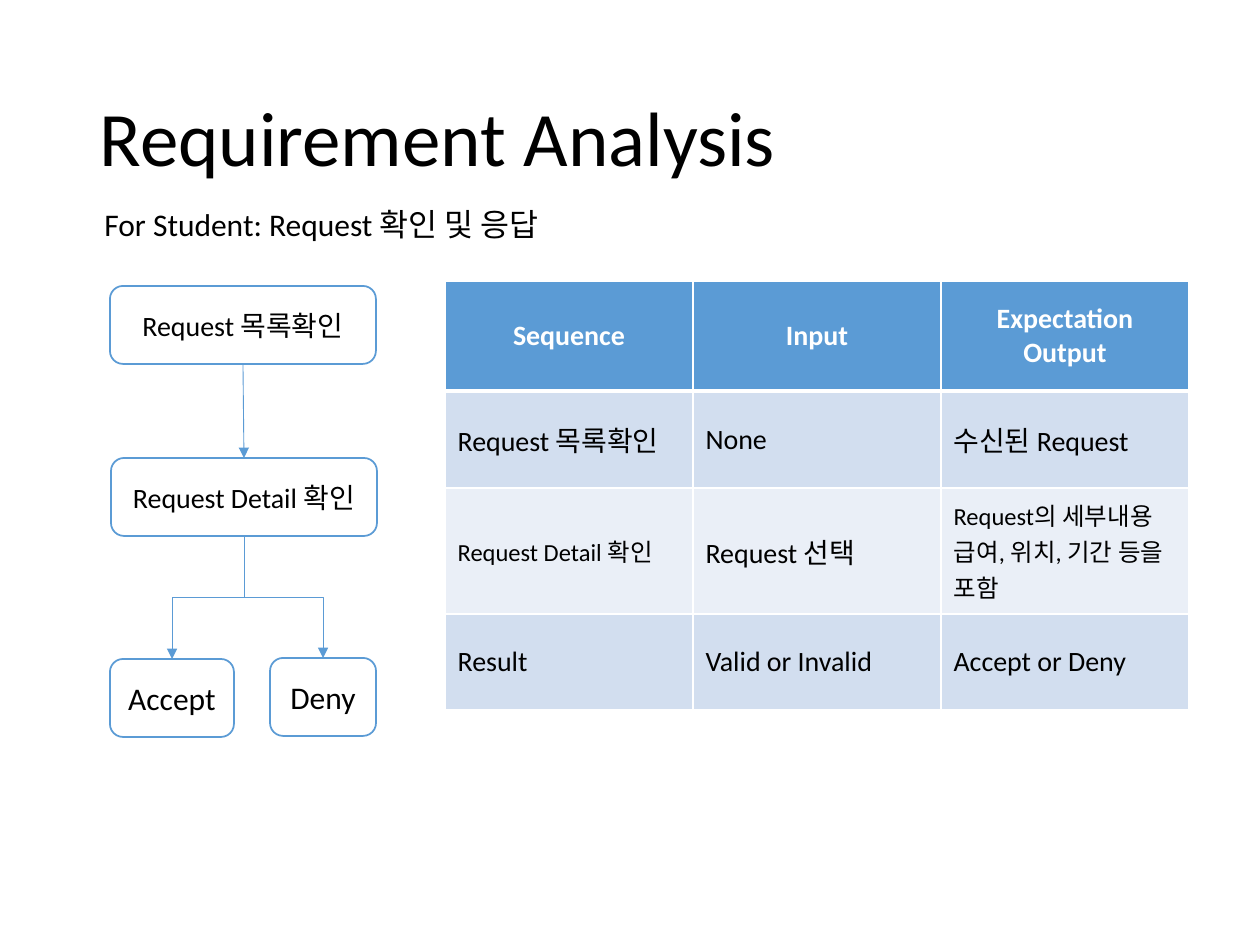
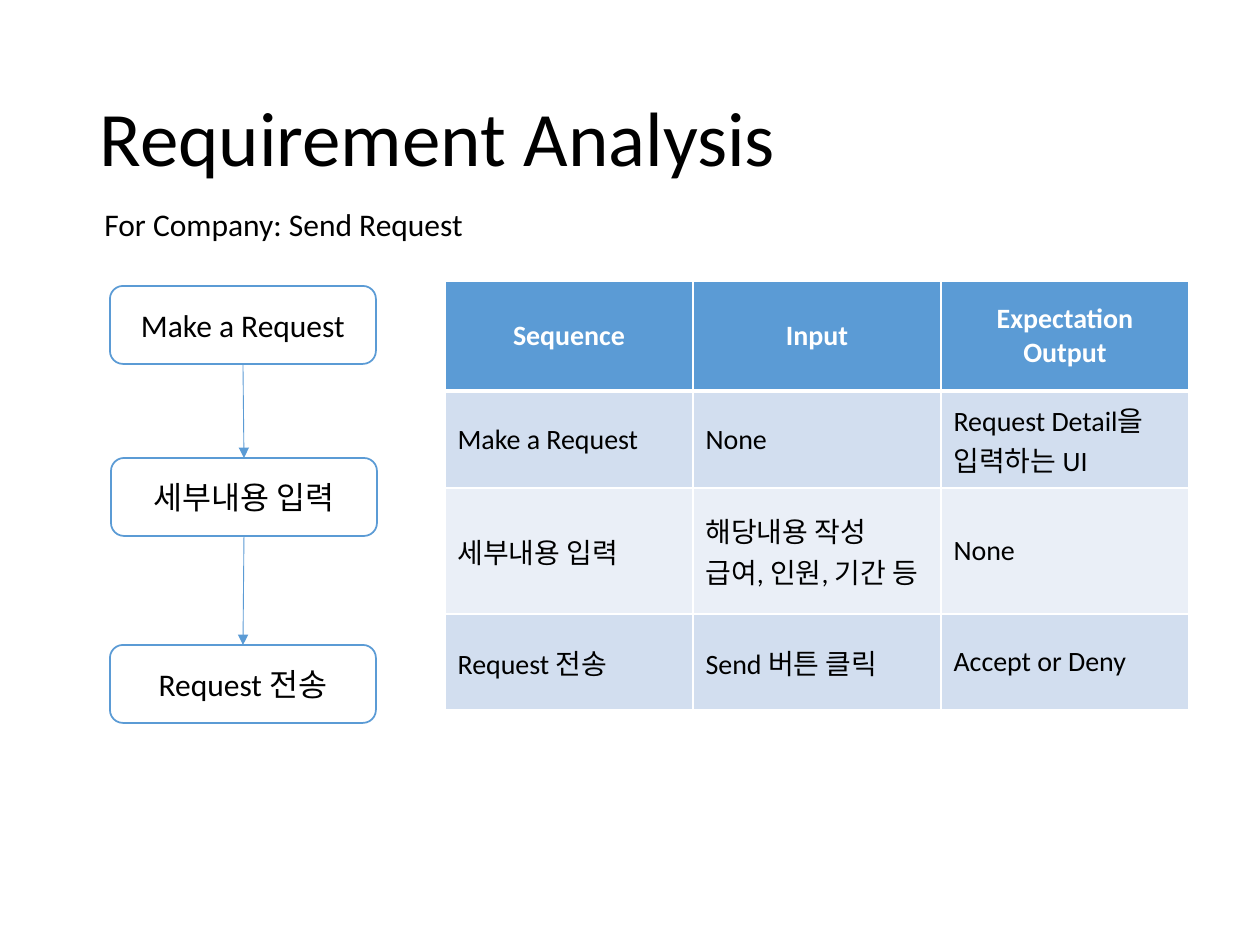
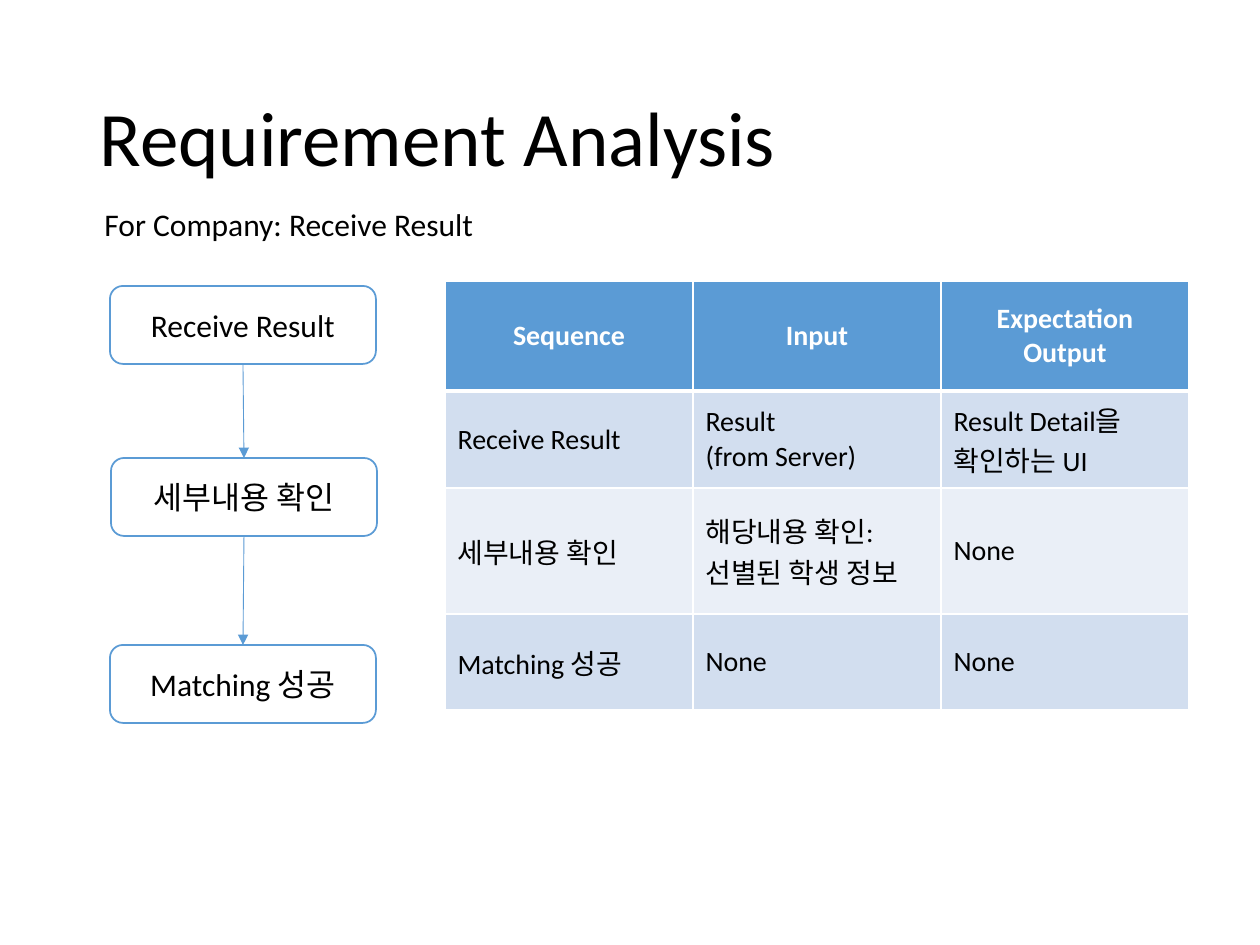
"""Builds three requirement analysis slides, each with a flow and a table."""
from dataclasses import dataclass

import pptx
import pptx.dml.color
import pptx.enum.dml
import pptx.enum.shapes
import pptx.enum.text
import pptx.oxml
import pptx.oxml.ns
import pptx.util

ALIGN = pptx.enum.text.PP_ALIGN
ANCHOR = pptx.enum.text.MSO_ANCHOR
AUTO = pptx.enum.text.MSO_AUTO_SIZE
CONNECTOR = pptx.enum.shapes.MSO_CONNECTOR
BOX = pptx.enum.shapes.MSO_SHAPE.FLOWCHART_ALTERNATE_PROCESS
BOTTOM_SITE, TOP_SITE = 2, 0
qn = pptx.oxml.ns.qn


@dataclass(frozen=True)
class Theme:
    """Colours, font and type sizes."""
    font: str = "Calibri"
    text: str = "000000"
    paper: str = "FFFFFF"
    accent: str = "5B9BD5"
    bands: tuple = ("D2DEEF", "EAEFF7")
    title: int = 44
    body: int = 18
    cell: int = 16
    small: int = 14


THEME = Theme()


def px(n):
    """Turn pixels, 126 to the inch, into EMU."""
    return pptx.util.Emu(round(n * 914400 / 126))


def rgb(color):
    """Turn a hex string into a colour."""
    return pptx.dml.color.RGBColor.from_string(color)


def add_xml(parent, xml):
    """Append an element written in the drawing namespace."""
    parent.append(pptx.oxml.parse_xml(xml.replace("/>", f" {pptx.oxml.ns.nsdecls('a')}/>", 1)
                                      if xml.endswith("/>") and xml.count("<") == 1 else
                                      xml.replace(">", f" {pptx.oxml.ns.nsdecls('a')}>", 1)))


def write(tf, text, size=THEME.body, color=THEME.text, bold=False,
          align=ALIGN.LEFT, spacing=None):
    """Fill a text frame, one paragraph for each line of text."""
    for i, line in enumerate(text.split("\n")):
        p = tf.add_paragraph() if i else tf.paragraphs[0]
        p.alignment = align
        if spacing:
            p.line_spacing = spacing
        r = p.add_run()
        r.text = line
        r.font.name = THEME.font
        r.font.size = pptx.util.Pt(size)
        r.font.bold = bold
        r.font.color.rgb = rgb(color)


class Deck:
    """Holds the presentation and the slide being built."""

    def __init__(self):
        """Start an empty 10 by 7.5 inch presentation."""
        self.prs = pptx.Presentation()
        self.prs.slide_width, self.prs.slide_height = px(1260), px(945)
        self.s = None

    def slide(self, title):
        """Add a slide and format its title."""
        self.s = self.prs.slides.add_slide(self.prs.slide_layouts[5])
        sp = self.s.shapes.title
        sp.left, sp.top, sp.width, sp.height = px(87), px(50), px(1086), px(183)
        tf = sp.text_frame
        tf.auto_size = AUTO.NONE
        tf.vertical_anchor = ANCHOR.MIDDLE
        write(tf, title, size=THEME.title, spacing=0.9)

    def subtitle(self, text, width):
        """Add the unwrapped line under the title."""
        sp = self.s.shapes.add_textbox(px(92), px(199), px(width), px(50))
        tf = sp.text_frame
        tf.word_wrap = False
        tf.auto_size = AUTO.SHAPE_TO_FIT_TEXT
        write(tf, text)

    def box(self, text, x, y, w=266, size=THEME.body):
        """Add one step of the flow."""
        sp = self.s.shapes.add_shape(BOX, px(x), px(y), px(w), px(78))
        sp.shadow.inherit = False
        sp.fill.solid()
        sp.fill.fore_color.rgb = rgb(THEME.paper)
        sp.line.color.rgb = rgb(THEME.accent)
        sp.line.width = pptx.util.Pt(1)
        tf = sp.text_frame
        tf.word_wrap = True
        tf.vertical_anchor = ANCHOR.MIDDLE
        write(tf, text, size=size, align=ALIGN.CENTER)
        return sp

    def style_arrow(self, cx):
        """Give a connector its line and arrowhead."""
        cx.line.color.rgb = rgb(THEME.accent)
        cx.line.width = pptx.util.Pt(0.5)
        sp_pr = cx._element.spPr
        add_xml(sp_pr.find(qn("a:ln")), '<a:tailEnd type="triangle"/>')
        add_xml(sp_pr, "<a:effectLst/>")

    def arrow(self, upper, lower):
        """Join two boxes by a straight arrow."""
        cx = self.s.shapes.add_connector(CONNECTOR.STRAIGHT, 0, 0, 0, 0)
        cx.begin_connect(upper, BOTTOM_SITE)
        cx.end_connect(lower, TOP_SITE)
        self.style_arrow(cx)

    def branch(self, upper, lower):
        """Join two boxes by an elbow that leaves downwards."""
        x1, y1 = upper.left + upper.width // 2, upper.top + upper.height
        x2, y2 = lower.left + lower.width // 2, lower.top
        mid_x, mid_y = (x1 + x2) // 2, (y1 + y2) // 2
        half_w, half_h = (y2 - y1) // 2, abs(x2 - x1) // 2
        side = 1 if x2 < x1 else -1
        cx = self.s.shapes.add_connector(
            CONNECTOR.ELBOW, mid_x - side * half_w, mid_y - half_h,
            mid_x + side * half_w, mid_y + half_h)
        quarter_turns = 1 if side == 1 else 3
        cx._element.spPr.find(qn("a:xfrm")).set("rot", str(quarter_turns * 5400000))
        self.style_arrow(cx)

    def cell(self, cell, text, row, size):
        """Write, border and fill one table cell."""
        header = row == 0
        tc_pr = cell._tc.get_or_add_tcPr()
        widths = {"L": 1, "R": 1, "T": 3 if row == 1 else 1, "B": 3 if header else 1}
        for edge, width in widths.items():
            add_xml(tc_pr, f'<a:ln{edge} w="{width * 12700}"><a:solidFill>'
                           f'<a:srgbClr val="{THEME.paper}"/></a:solidFill></a:ln{edge}>')
        cell.fill.solid()
        cell.fill.fore_color.rgb = rgb(THEME.accent if header else THEME.bands[(row - 1) % 2])
        cell.vertical_anchor = ANCHOR.MIDDLE
        write(cell.text_frame, text, size=size, bold=header,
              color=THEME.paper if header else THEME.text,
              align=ALIGN.CENTER if header else ALIGN.LEFT)

    def table(self, rows, small=()):
        """Add the table; small lists the (row, column) cells in smaller type."""
        rows = [("Sequence", "Input", "Expectation Output"), *rows]
        heights, col_width = (110, 97, 126, 96), 248
        tb = self.s.shapes.add_table(len(rows), 3, px(445), px(281),
                                     px(3 * col_width), px(sum(heights))).table
        tb.horz_banding = False
        for col in tb.columns:
            col.width = px(col_width)
        for i, texts in enumerate(rows):
            tb.rows[i].height = px(heights[i])
            for j, text in enumerate(texts):
                size = THEME.small if (i, j) in small else THEME.cell
                self.cell(tb.cell(i, j), text, i, size)

    def first_steps(self, first, second, size=THEME.body):
        """Add the two upper boxes and their arrow; return the second box."""
        top = self.box(first, 110, 286, size=size)
        middle = self.box(second, 111, 458, size=size)
        self.arrow(top, middle)
        return middle


def student_slide(deck):
    """Build the slide whose flow ends in two outcomes."""
    deck.slide("Requirement Analysis")
    deck.subtitle("For Student: Request 확인 및 응답", 478)
    middle = deck.first_steps("Request 목록확인", "Request Detail 확인", size=THEME.cell)
    for text, x, y, w in (("Accept", 110, 659, 124), ("Deny", 270, 658, 106)):
        deck.branch(middle, deck.box(text, x, y, w))
    deck.table([
        ("Request 목록확인", "None", "수신된 Request"),
        ("Request Detail 확인", "Request 선택",
         "Request의 세부내용\n급여, 위치, 기간 등을 포함"),
        ("Result", "Valid or Invalid", "Accept or Deny"),
    ], small={(2, 0), (2, 2)})


def company_slide(deck, subtitle, width, steps, details):
    """Build a slide with three steps in line; details holds input and output."""
    deck.slide("Requirement Analysis")
    deck.subtitle(subtitle, width)
    middle = deck.first_steps(*steps[:2])
    deck.arrow(middle, deck.box(steps[2], 110, 645))
    deck.table([(step, *detail) for step, detail in zip(steps, details)])


def main():
    """Build and save the presentation."""
    deck = Deck()
    student_slide(deck)
    company_slide(
        deck, "For Company: Send Request", 388,
        ("Make a Request", "세부내용 입력", "Request 전송"),
        (("None", "Request Detail을 입력하는 UI"),
         ("해당내용 작성\n급여, 인원, 기간 등", "None"),
         ("Send 버튼 클릭", "Accept or Deny")))
    company_slide(
        deck, "For Company: Receive Result", 398,
        ("Receive Result", "세부내용 확인", "Matching 성공"),
        (("Result\n(from Server)", "Result Detail을 확인하는 UI"),
         ("해당내용 확인:\n선별된 학생 정보", "None"),
         ("None", "None")))
    deck.prs.save("out.pptx")


main()
